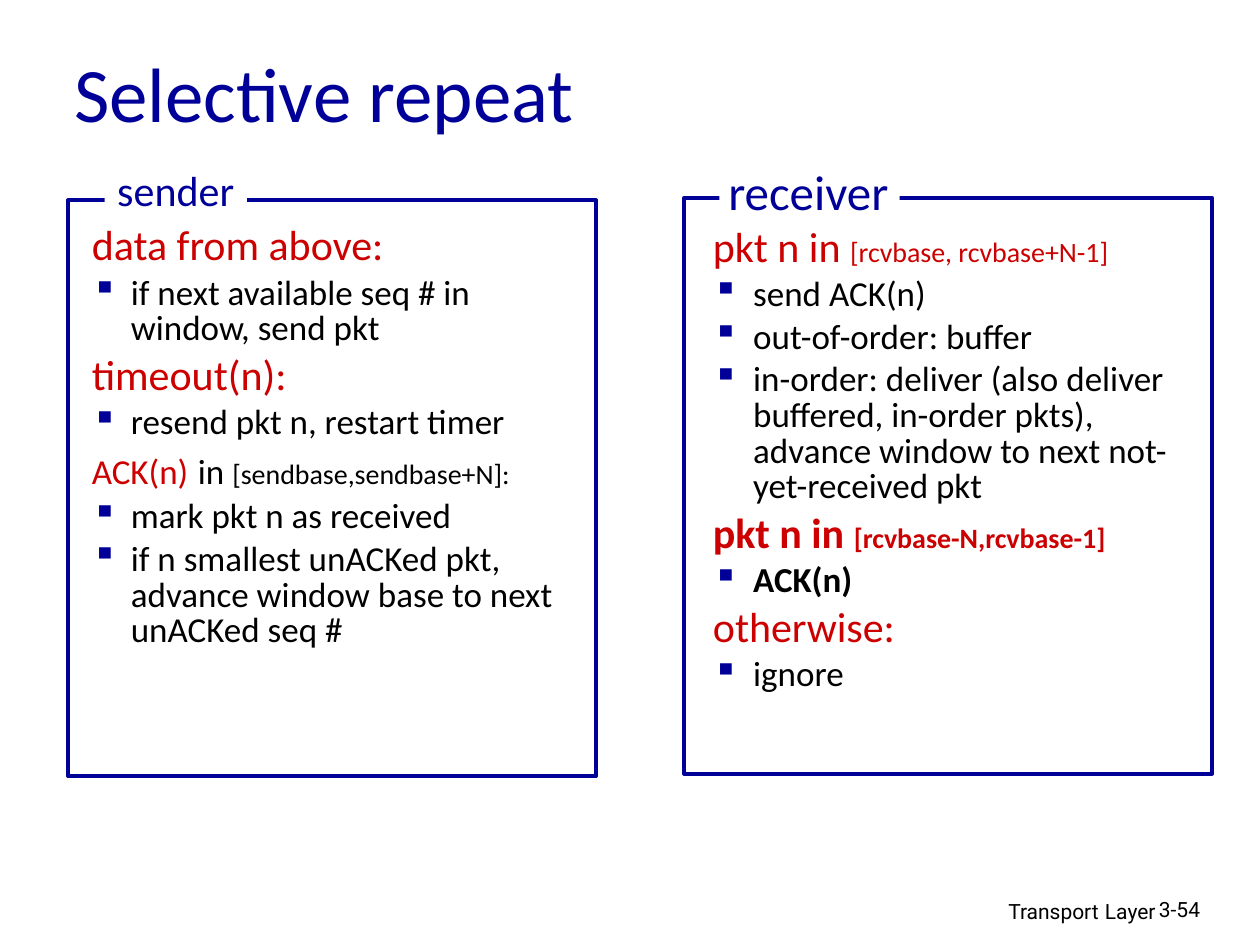
"""Builds the slide that sets out the sender and receiver rules of selective repeat."""
from lxml import etree
from pptx import Presentation
from pptx import util as u
from pptx.dml.color import RGBColor
from pptx.enum import shapes, text
from pptx.oxml.ns import qn

NAVY = RGBColor(0x00, 0x00, 0x99)
RED = RGBColor(0xCC, 0x00, 0x00)
BLACK = RGBColor(0x00, 0x00, 0x00)
WHITE = RGBColor(0xFF, 0xFF, 0xFF)
CELL = u.Inches(0.1)
COLUMNS, ROWS = 100, 75
BODY_FONT, FOOTER_FONT = "Calibri", "Roboto"
LEFT, CENTER, RIGHT = text.PP_ALIGN.LEFT, text.PP_ALIGN.CENTER, text.PP_ALIGN.RIGHT


def heading(*runs):
    return False, runs


def bullet(words, bold=False):
    return True, [(words, 20, BLACK, bold)]


SENDER_RULES = [
    heading(("data from above:", 24, RED)),
    bullet("if next available seq # in window, send pkt"),
    heading(("timeout(n):", 24, RED)),
    bullet("resend pkt n, restart timer"),
    heading(("ACK(n)", 20, RED), (" ", 24, RED), ("in ", 20, BLACK),
            ("[sendbase,sendbase+N]:", 16, BLACK)),
    bullet("mark pkt n as received"),
    bullet("if n smallest unACKed pkt, advance window base to next unACKed seq #"),
]
RECEIVER_RULES = [
    heading(("pkt n in ", 24, RED), ("[rcvbase, rcvbase+N-1]", 16, RED)),
    bullet("send ACK(n)"),
    bullet("out-of-order: buffer"),
    bullet("in-order: deliver (also deliver buffered, in-order pkts), "
           "advance window to next not-yet-received pkt"),
    heading(("pkt n in ", 24, RED, True), ("[rcvbase-N,rcvbase-1]", 16, RED, True)),
    bullet("ACK(n)", bold=True),
    heading(("otherwise:", 24, RED)),
    bullet("ignore"),
]


def grid(*cells):
    return [int(cell * CELL) for cell in cells]


def add_run(paragraph, words, size, color, bold=False, font=BODY_FONT):
    run = paragraph.add_run()
    run.text = words
    run.font.name = font
    run.font.size = u.Pt(size)
    run.font.bold = bold
    run.font.color.rgb = color


def add_frame(slide, area, wrap=True, anchor=text.MSO_ANCHOR.TOP):
    frame = slide.shapes.add_textbox(*grid(*area)).text_frame
    frame.word_wrap = wrap
    frame.vertical_anchor = anchor
    return frame


def add_line(slide, area, runs, align=LEFT, font=BODY_FONT, **frame_options):
    paragraph = add_frame(slide, area, **frame_options).paragraphs[0]
    paragraph.alignment = align
    for run in runs:
        add_run(paragraph, *run, font=font)


def add_box(slide, area, fill=None, outline=None):
    box = slide.shapes.add_shape(shapes.MSO_SHAPE.RECTANGLE, *grid(*area))
    box.shadow.inherit = False
    if fill is None:
        box.fill.background()
    else:
        box.fill.solid()
        box.fill.fore_color.rgb = fill
    if outline is None:
        box.line.fill.background()
    else:
        box.line.color.rgb = outline
        box.line.width = u.Pt(2.25)


def set_bullet(paragraph, indent):
    properties = paragraph._p.get_or_add_pPr()
    properties.set("marL", str(u.Inches(indent)))
    properties.set("indent", str(-u.Inches(indent)))
    color = etree.SubElement(properties, qn("a:buClr"))
    etree.SubElement(color, qn("a:srgbClr")).set("val", str(NAVY))
    etree.SubElement(properties, qn("a:buChar")).set("char", "▪")


def add_rules(slide, area, rules, indent):
    frame = add_frame(slide, area)
    for index, (is_bullet, runs) in enumerate(rules):
        paragraph = frame.add_paragraph() if index else frame.paragraphs[0]
        if is_bullet:
            set_bullet(paragraph, indent)
        paragraph.line_spacing = 0.85
        if index:
            paragraph.space_before = u.Pt(0.2 * max(run[1] for run in runs))
        for run in runs:
            add_run(paragraph, *run)


def add_panel(slide, left, top, rules_area, rules, indent):
    add_rules(slide, rules_area, rules, indent)
    add_box(slide, (left, top, 41.9, 45.7), outline=NAVY)


def add_label(slide, cover, area, words, size):
    add_box(slide, cover, fill=WHITE)
    add_line(slide, area, [(words, size, NAVY)], CENTER, wrap=False)


def main():
    deck = Presentation()
    deck.slide_width, deck.slide_height = grid(COLUMNS, ROWS)
    slide = deck.slides.add_slide(deck.slide_layouts[6])

    add_line(slide, (61, 70.5, 31.7, 3.1),
             [("Transport", 12, BLACK), (" ", 14, BLACK), ("Layer", 12, BLACK)],
             RIGHT, FOOTER_FONT)
    add_line(slide, (91, 70.7, 7.4, 3), [("3-54", 12, BLACK)], font=FOOTER_FONT)
    add_line(slide, (4.9, 2.7, 85, 9.2), [("Selective repeat", 44, NAVY)],
             anchor=text.MSO_ANCHOR.MIDDLE)

    add_panel(slide, 5.4, 15.9, (6.3, 17.5, 39.9, 42.4), SENDER_RULES, 0.31)
    add_label(slide, (8.3, 12.6, 11.3, 5.1), (8.3, 12.6, 11.3, 5.1), "sender", 24)
    add_panel(slide, 54.3, 15.7, (55.6, 17.6, 39.7, 40.2), RECEIVER_RULES, 0.32)
    add_label(slide, (57.1, 14.2, 14.3, 3.1), (56.7, 12.3, 14.9, 5.7), "receiver", 28)

    deck.save("out.pptx")


if __name__ == "__main__":
    main()
